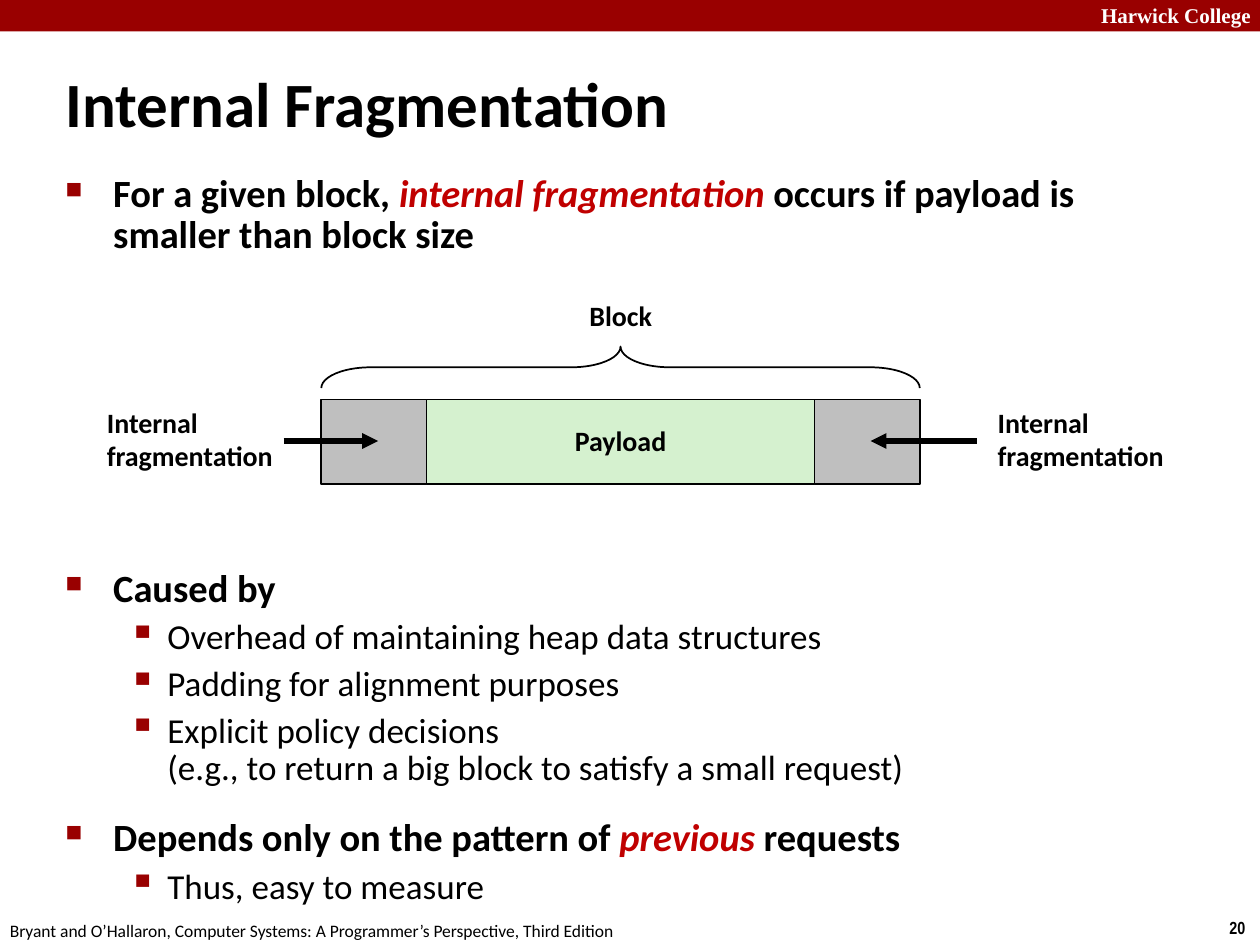
from lxml import etree
from pptx import Presentation
from pptx import util as u
from pptx.dml.color import RGBColor
from pptx.enum import shapes, text
from pptx.oxml.ns import qn

BLACK, RED, CRIMSON, WHITE = "000000", "990000", "C00000", "FFFFFF"
GREEN, GRAY = "D5F1CF", "BFBFBF"

deck = Presentation()
deck.slide_width, deck.slide_height = u.Inches(10), u.Inches(7.5)
page = deck.slides.add_slide(deck.slide_layouts[6])

# Grid: 100 columns by 75 rows
COL, ROW = deck.slide_width / 100, deck.slide_height / 75


def cells(left, top, width, height):
    return [int(n * step) for n, step in zip((left, top, width, height), (COL, ROW) * 2)]


def write(para, spans, size, font="Calibri", bold=True, color=BLACK):
    """Add the spans; a span given as a pair is (text, format values)."""
    for span in spans:
        words, changes = span if isinstance(span, tuple) else (span, {})
        if words.startswith("\n"):
            para.add_line_break()
        run = para.add_run()
        run.text = words.strip("\n")
        values = {"name": font, "size": u.Pt(size), "bold": bold, "color": color} | changes
        run.font.color.rgb = RGBColor.from_string(values.pop("color"))
        for key, value in values.items():
            setattr(run.font, key, value)


# Top band
band = page.shapes.add_shape(shapes.MSO_SHAPE.RECTANGLE, *cells(0, 0, 100, 2.5))
band.shadow.inherit = False
band.fill.solid()
band.fill.fore_color.rgb = RGBColor.from_string(RED)
band.line.fill.background()

# Header, page number, footer, title and diagram labels
side_label = ["Internal", "fragmentation"]
label = {"size": 16}
labels = [
    ((86.4, -0.3, 14.3, 3), ["Harwick College"],
     {"size": 12, "font": "Times New Roman", "color": WHITE}),
    ((96.6, 72.3, 3.4, 2.7), ["20"], {"size": 10, "font": "Arial Narrow"}),
    ((-0.2, 72.5, 50.8, 2.7),
     ["Bryant and O’Hallaron, Computer Systems: A Programmer’s Perspective, Third Edition"],
     {"size": 10, "bold": False}),
    ((4.2, 5, 73.6, 6.3), ["Internal Fragmentation"], {"size": 36}),
    ((45.8, 23.3, 7, 3.7), ["Block"], label),
    ((7.5, 31.8, 15.3, 6.3), side_label, label),
    ((78.2, 31.8, 15.3, 6.3), side_label, label),
]
for place, lines, style in labels:
    frame = page.shapes.add_textbox(*cells(*place)).text_frame
    frame.word_wrap = False
    if style["size"] == 36:
        frame.vertical_anchor = text.MSO_ANCHOR.MIDDLE
    for number, line in enumerate(lines):
        para = frame.add_paragraph() if number else frame.paragraphs[0]
        if style is label:
            para.line_spacing = 0.98
        write(para, [line], **style)

# Bulleted body: level, space before, spans
GAP = 5.6
DIAGRAM_GAP = 179
points = [
    (0, GAP, ["For a given block, ",
              ("internal fragmentation ", {"color": CRIMSON, "italic": True}),
              "occurs if payload is smaller than block size"]),
    (0, DIAGRAM_GAP, ["Caused by"]),
    (1, GAP, ["Overhead of maintaining heap data structures"]),
    (1, GAP, ["Padding for alignment purposes"]),
    (1, GAP, ["Explicit policy decisions",
              "\n(e.g., to return a big block to satisfy a small request)"]),
    (0, 18, ["Depends only on the pattern of ",
             ("previous", {"color": CRIMSON, "italic": True}), " requests"]),
    (1, GAP, ["Thus, easy to measure"]),
]
levels = [
    {"size": 22, "bold": True, "margin": 0.38, "indent": -0.38, "mark": "■", "scale": 60},
    {"size": 20, "bold": False, "margin": 0.81, "indent": -0.31, "mark": "▪", "scale": 110},
]
body = page.shapes.add_textbox(*cells(4.2, 13.4, 90.9, 59.1)).text_frame
body.word_wrap = True
for number, (depth, before, spans) in enumerate(points):
    level = levels[depth]
    para = body.add_paragraph() if number else body.paragraphs[0]
    for key, value in {"level": depth, "line_spacing": 0.88, "space_before": u.Pt(before)}.items():
        setattr(para, key, value)
    write(para, spans, level["size"], bold=level["bold"])
    props = para._p.get_or_add_pPr()
    props.set("marL", str(u.Inches(level["margin"])))
    props.set("indent", str(u.Inches(level["indent"])))
    bullet_color = etree.SubElement(props, qn("a:buClr"))
    etree.SubElement(bullet_color, qn("a:srgbClr"), val=RED)
    etree.SubElement(props, qn("a:buSzPct"), val=str(level["scale"] * 1000))
    etree.SubElement(props, qn("a:buChar"), char=level["mark"])

# Block: padding on both sides of the payload
PAD, PAYLOAD, LEFT = 8.35, 30.8, 25.5
parts = [(LEFT + PAD, PAYLOAD, GREEN, "Payload"),
         (LEFT + PAD + PAYLOAD, PAD, GRAY, ""),
         (LEFT, PAD, GRAY, "")]
for left, width, color, words in parts:
    box = page.shapes.add_shape(shapes.MSO_SHAPE.RECTANGLE, *cells(left, 31.7, width, 6.7))
    box.shadow.inherit = False
    box.fill.solid()
    box.fill.fore_color.rgb = RGBColor.from_string(color)
    box.line.color.rgb = RGBColor.from_string(BLACK)
    box.line.width = u.Pt(1)
    if words:
        box.text_frame.word_wrap = False
        box.text_frame.vertical_anchor = text.MSO_ANCHOR.MIDDLE
        para = box.text_frame.paragraphs[0]
        para.alignment = text.PP_ALIGN.CENTER
        para.line_spacing = 0.98
        write(para, [words], 16)

# Brace over the whole block
brace = page.shapes.add_shape(shapes.MSO_SHAPE.RIGHT_BRACE, *cells(47.6, 5.4, 3.3, 47.5))
brace.rotation = 270
brace.adjustments[0], brace.adjustments[1] = 1.19, 0.5
brace.shadow.inherit = False
brace.fill.background()
brace.line.color.rgb = RGBColor.from_string(BLACK)
brace.line.width = u.Pt(1)

# Arrows from the side labels into the padding
for start, end in [(77.5, 69.1), (22.5, 30)]:
    arrow = page.shapes.add_connector(
        shapes.MSO_CONNECTOR.STRAIGHT, *cells(start, 35, end, 35))
    arrow.line.color.rgb = RGBColor.from_string(BLACK)
    arrow.line.width = u.Pt(3)
    etree.SubElement(arrow.line._get_or_add_ln(), qn("a:tailEnd"), type="triangle")
    etree.SubElement(arrow._element.spPr, qn("a:effectLst"))

deck.save("out.pptx")
